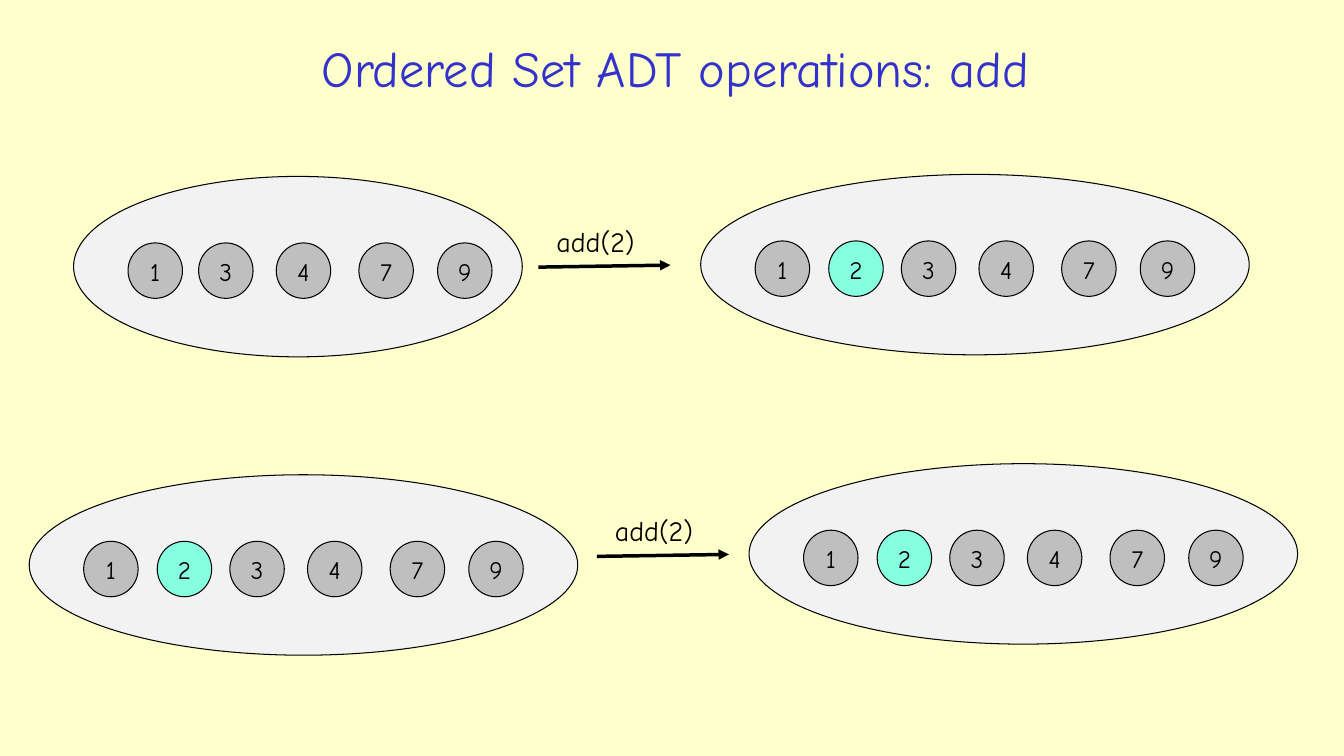
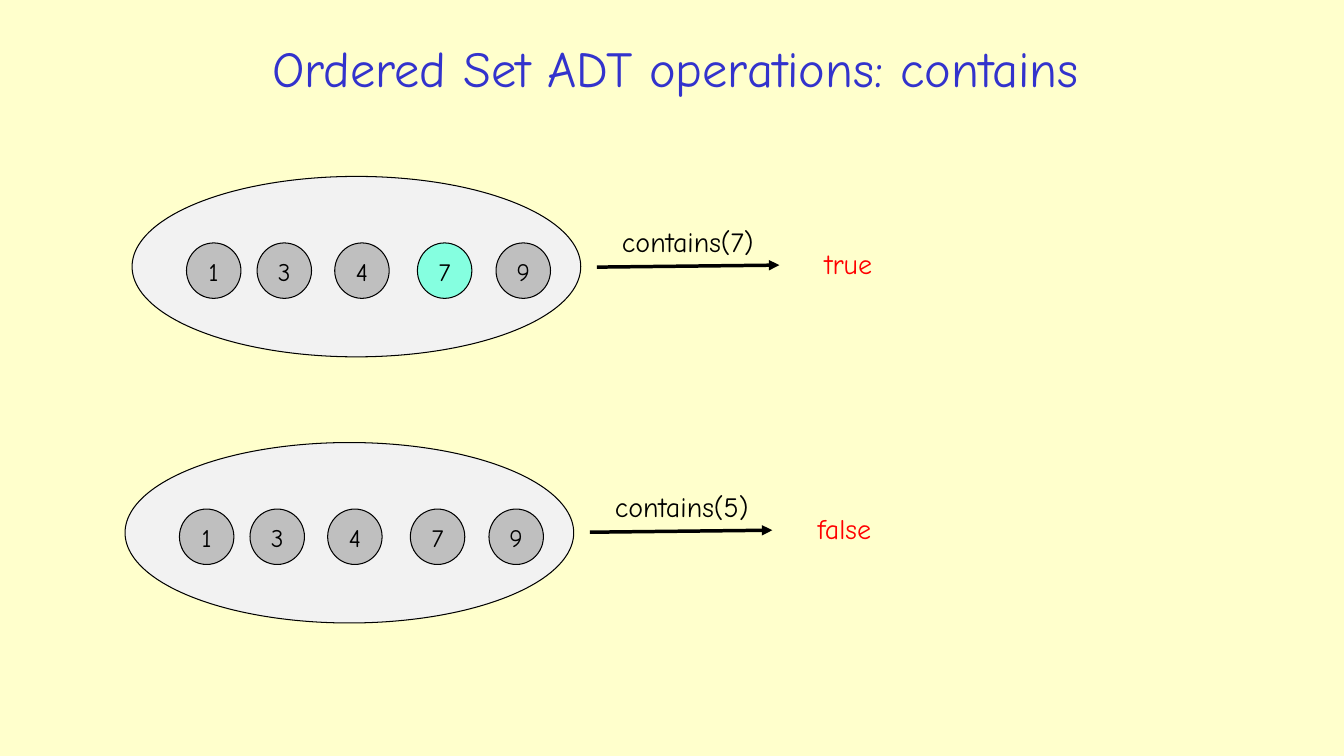
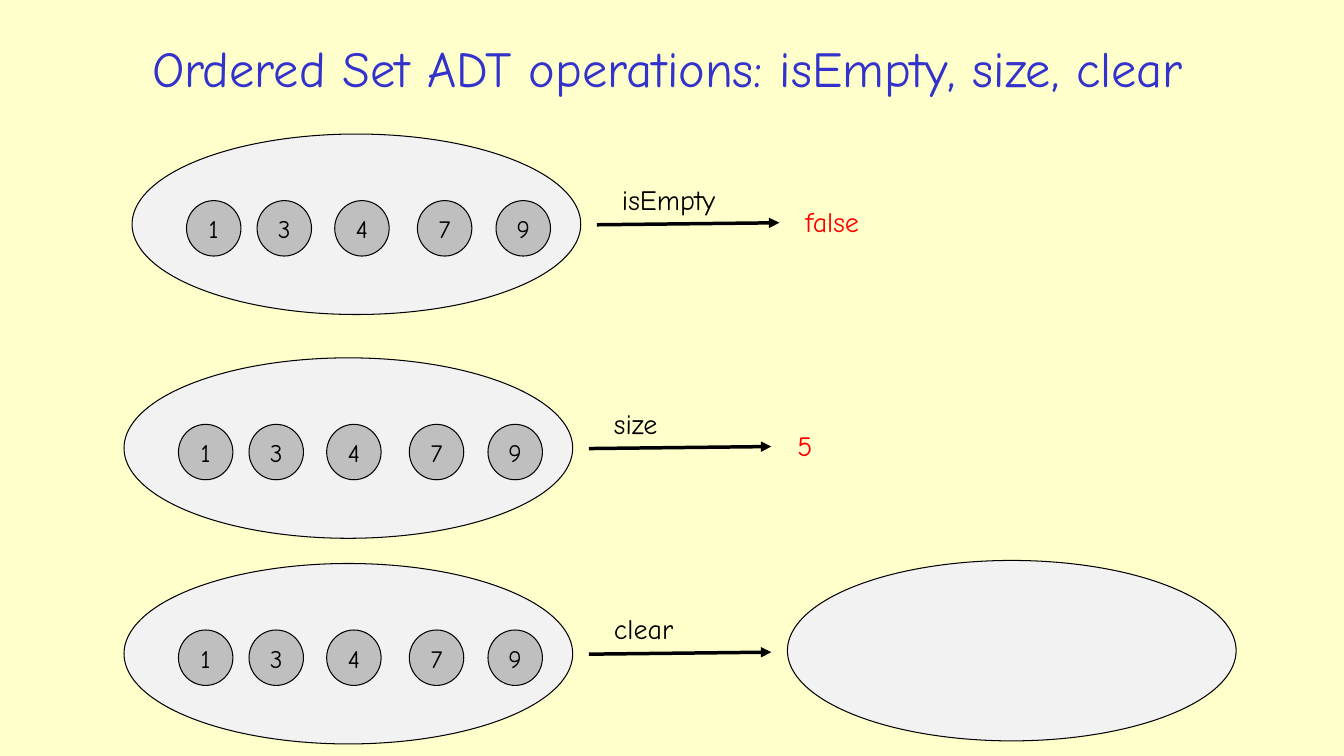
from dataclasses import dataclass

from lxml import etree
from pptx import Presentation
from pptx import util as u
from pptx.dml.color import RGBColor
from pptx.enum import shapes, text
from pptx.oxml.ns import qn

# Shared look
FONT = "Comic Neue"
CREAM, BLUE, BLACK, RED = "FFFFCC", "3333CC", "000000", "FF0000"
PALE, GREY, MINT = "F2F2F2", "BFBFBF", "85FFE0"

# Left edge of each number, measured from the left of its set
SPOTS = {1: 0.54, 2: 1.27, 3: 1.99, 4: 2.76, 7: 3.58, 9: 4.36}
SHIFT = 0.75  # numbers after 2 move left by this when 2 is absent
FIVE, SIX = (1, 3, 4, 7, 9), (1, 2, 3, 4, 7, 9)


@dataclass
class Group:
    """A set: its place, its numbers and the one to highlight."""
    x: float
    y: float
    nums: tuple[int, ...] = FIVE
    mark: int = 0


@dataclass
class Call:
    """An operation arrow with its label, and a result if it has one."""
    x: float
    y: float
    label: str
    size: float = 1.81
    inset: float = 0.15
    answer: str = ""
    gap: float = 0.16


@dataclass
class Page:
    title: str
    items: list[Group | Call]
    left: float = 1.93
    width: float = 9.54


PAGES = [
    Page("Ordered Set ADT operations: add", [
        Group(0.73, 1.75),
        Call(5.34, 2.65, "add(2)", 1.31, 0.08),
        Group(6.95, 1.73, SIX, 2),
        Group(0.29, 4.71, SIX, 2),
        Call(5.92, 5.52, "add(2)", 1.31, 0.08),
        Group(7.43, 4.6, SIX, 2),
    ]),
    Page("Ordered Set ADT operations: contains", [
        Group(1.31, 1.75, mark=7),
        Call(5.92, 2.65, "contains(7)", answer="true", gap=0.35),
        Group(1.24, 4.39),
        Call(5.85, 5.28, "contains(5)", answer="false", gap=0.35),
    ]),
    Page("Ordered Set ADT operations: isEmpty, size, clear", [
        Group(1.31, 1.33),
        Call(5.92, 2.23, "isEmpty", answer="false"),
        Group(1.23, 3.55),
        Call(5.84, 4.45, "size", answer="5"),
        Group(1.23, 5.59),
        Call(5.84, 6.49, "clear"),
        Group(7.81, 5.56, ()),
    ], 0.25, 12.74),
]


def color(code: str) -> RGBColor:
    return RGBColor.from_string(code)


def write(frame, words: str, size: float, ink: str, center: bool = False) -> None:
    para = frame.paragraphs[0]
    para.alignment = text.PP_ALIGN.CENTER if center else text.PP_ALIGN.LEFT
    run = para.add_run()
    run.text = words
    run.font.name = FONT
    run.font.size = u.Pt(size)
    run.font.color.rgb = color(ink)


def oval(slide, x: float, y: float, w: float, h: float, fill: str):
    shape = slide.shapes.add_shape(
        shapes.MSO_SHAPE.OVAL, u.Inches(x), u.Inches(y), u.Inches(w), u.Inches(h))
    shape.shadow.inherit = False
    shape.fill.solid()
    shape.fill.fore_color.rgb = color(fill)
    shape.line.color.rgb = color(BLACK)
    shape.line.width = u.Pt(0.75)
    return shape


def label(slide, x: float, y: float, words: str, ink: str = BLACK) -> None:
    box = slide.shapes.add_textbox(
        u.Inches(x), u.Inches(y), u.Inches(2.02), u.Inches(0.44))
    box.text_frame.word_wrap = True
    write(box.text_frame, words, 20, ink)


def arrow(slide, x: float, y: float, size: float) -> None:
    line = slide.shapes.add_connector(
        shapes.MSO_CONNECTOR.STRAIGHT, u.Inches(x), u.Inches(y),
        u.Inches(x + size), u.Inches(y - 0.02))
    line.line.color.rgb = color(BLACK)
    line.line.width = u.Pt(2.5)
    props = line._element.spPr
    tip = etree.SubElement(props.find(qn("a:ln")), qn("a:tailEnd"))
    tip.set("type", "triangle")
    etree.SubElement(props, qn("a:effectLst"))


def draw_group(slide, group: Group) -> None:
    wide = 5.44 if 2 in group.nums else 4.45
    oval(slide, group.x, group.y, wide, 1.79, PALE)
    for num in group.nums:
        shift = SHIFT if num > 2 and 2 not in group.nums else 0
        fill = MINT if num == group.mark else GREY
        ball = oval(slide, group.x + SPOTS[num] - shift, group.y + 0.66,
                    0.54, 0.55, fill)
        ball.text_frame.vertical_anchor = text.MSO_ANCHOR.TOP
        write(ball.text_frame, str(num), 18, BLACK, center=True)


def draw_call(slide, call: Call) -> None:
    arrow(slide, call.x, call.y, call.size)
    label(slide, call.x + call.inset, call.y - 0.47, call.label)
    if call.answer:
        label(slide, call.x + call.size + call.gap, call.y - 0.25,
              call.answer, RED)


def draw_page(deck, page: Page) -> None:
    slide = deck.slides.add_slide(deck.slide_layouts[5])
    # Title
    title = slide.shapes.title
    title.left, title.top = u.Inches(page.left), u.Inches(0.26)
    title.width, title.height = u.Inches(page.width), u.Inches(0.81)
    frame = title.text_frame
    frame.auto_size = text.MSO_AUTO_SIZE.NONE
    frame.vertical_anchor = text.MSO_ANCHOR.MIDDLE
    write(frame, page.title, 36, BLUE, center=True)
    # Sets and operations
    for item in page.items:
        if isinstance(item, Group):
            draw_group(slide, item)
        else:
            draw_call(slide, item)


def main() -> None:
    deck = Presentation()
    deck.slide_width, deck.slide_height = u.Inches(13.33), u.Inches(7.5)
    back = deck.slide_master.background.fill
    back.solid()
    back.fore_color.rgb = color(CREAM)
    for page in PAGES:
        draw_page(deck, page)
    deck.save("out.pptx")


if __name__ == "__main__":
    main()
